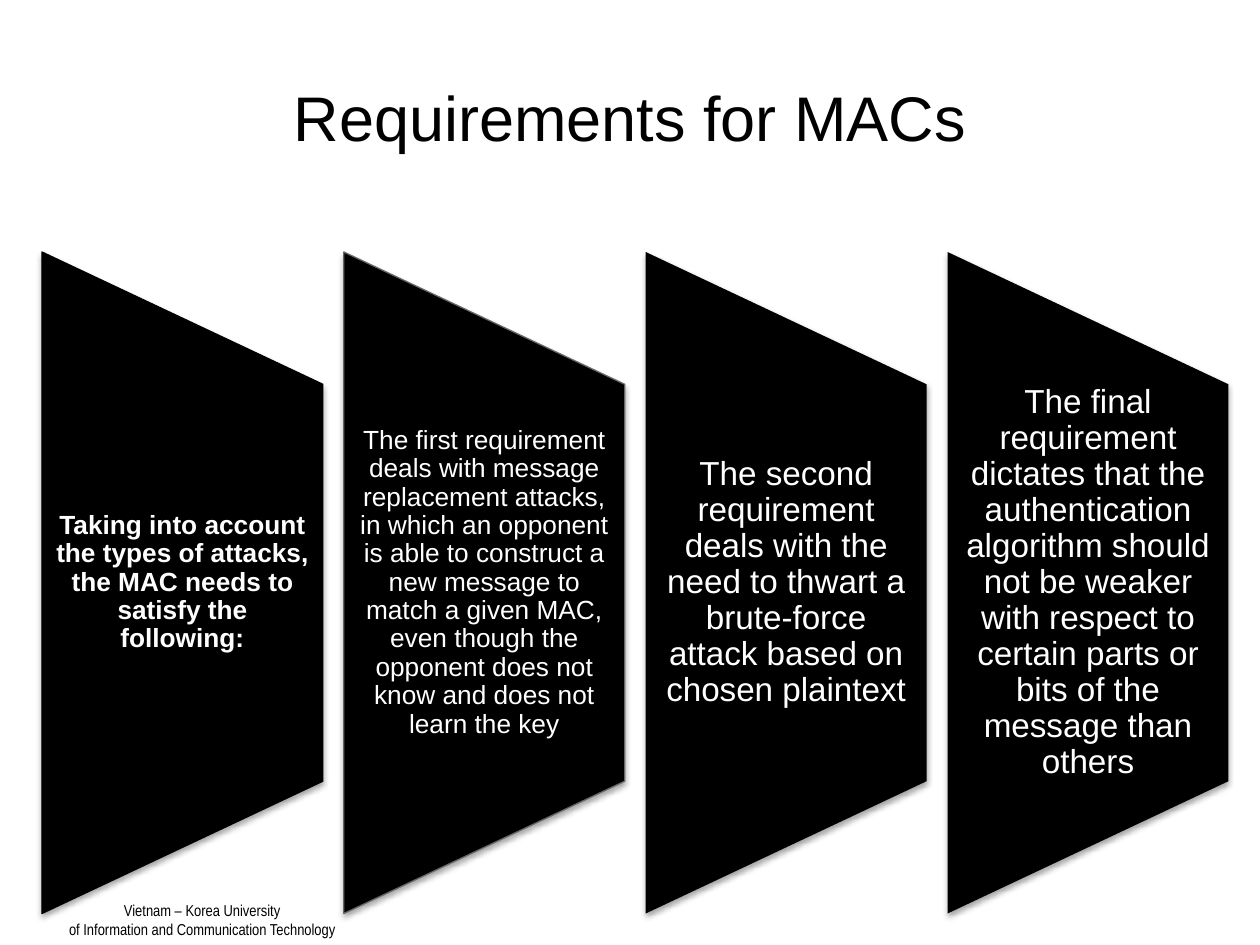
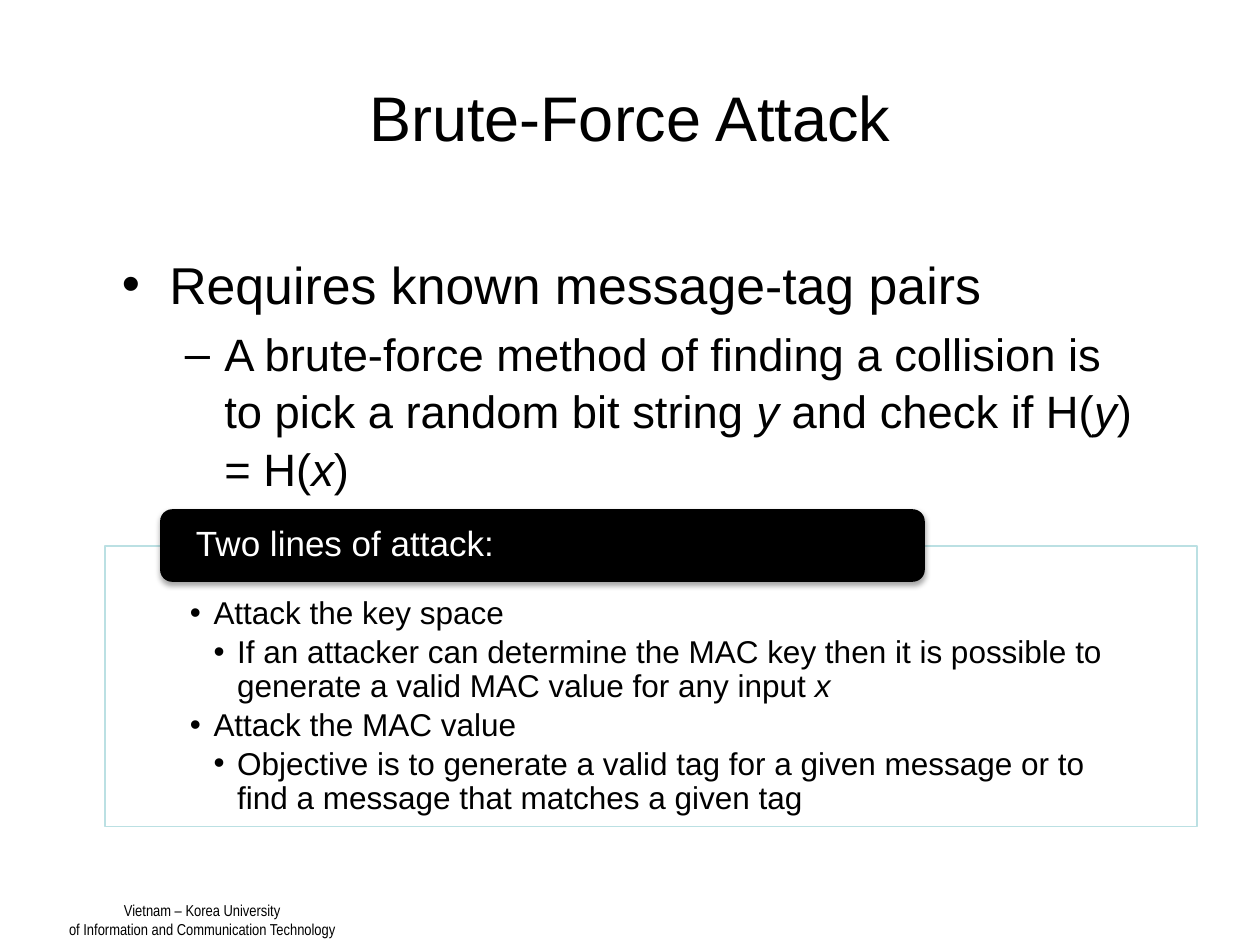
from lxml.etree import SubElement
from pptx import Presentation
from pptx.dml.color import RGBColor
from pptx.enum.shapes import MSO_SHAPE as Shape
from pptx.enum.text import MSO_ANCHOR as Anchor, MSO_AUTO_SIZE as Fit, PP_ALIGN as Align
from pptx.oxml.ns import qn
from pptx.util import Pt

BLACK = RGBColor(0, 0, 0)
WHITE = RGBColor(255, 255, 255)
GRAY = RGBColor(0x66, 0x66, 0x66)
TEAL = RGBColor(0xBB, 0xE0, 0xE3)

FOOTER = "Vietnam – Korea University\nof Information and Communication Technology"

# text, bold, size, side inset, edge colour
PANELS = [
    ("Taking into account the types of attacks, the MAC needs to satisfy the following:",
     True, 15, 7.5, BLACK),
    ("The first requirement deals with message replacement attacks, in which an opponent "
     "is able to construct a new message to match a given MAC, even though the opponent "
     "does not know and does not learn the key", False, 15, 7.5, GRAY),
    ("The second requirement deals with the need to thwart a brute-force attack based on "
     "chosen plaintext", False, 19, 9.5, None),
    ("The final requirement dictates that the authentication algorithm should not be "
     "weaker with respect to certain parts or bits of the message than others",
     False, 19, 9.5, None),
]

# level, text; stars mark italics
METHOD = [
    (0, "Requires known message-tag pairs"),
    (1, "A brute-force method of finding a collision is to pick a random bit string "
        "*y* and check if H(*y*) = H(*x*)"),
]
ATTACKS = [
    (0, "Attack the key space"),
    (1, "If an attacker can determine the MAC key then it is possible to generate a valid "
        "MAC value for any input *x*"),
    (0, "Attack the MAC value"),
    (1, "Objective is to generate a valid tag for a given message or to find a message "
        "that matches a given tag"),
]


def place(shape, box):
    shape.left, shape.top, shape.width, shape.height = map(Pt, box)


def inset(frame, left, top, right, bottom):
    frame.margin_left, frame.margin_top = Pt(left), Pt(top)
    frame.margin_right, frame.margin_bottom = Pt(right), Pt(bottom)


def shade(shape):
    """Give the shape a soft shadow straight below it."""
    effects = shape._element.spPr.find(qn("a:effectLst"))
    outer = SubElement(effects, qn("a:outerShdw"), blurRad=str(Pt(3.1)),
                       dist=str(Pt(1.8)), dir="5400000", rotWithShape="0")
    color = SubElement(outer, qn("a:srgbClr"), val=str(BLACK))
    SubElement(color, qn("a:alpha"), val="35000")


def bullet(para, mark, left, hang):
    props = para._p.get_or_add_pPr()
    props.set("marL", str(Pt(left)))
    props.set("indent", str(Pt(-hang)))
    SubElement(props, qn("a:buFont"), typeface="Arial")
    SubElement(props, qn("a:buChar"), char=mark)


class Deck:
    def __init__(self):
        self.show = Presentation()
        self.show.slide_width, self.show.slide_height = Pt(720), Pt(540)
        self.slide = None

    def style(self, para, size, color=BLACK, bold=False, font="Arial"):
        for run in para.runs:
            run.font.name, run.font.size = font, Pt(size)
            run.font.color.rgb, run.font.bold = color, bold

    def start(self, title, layout):
        """Open a slide with its title and footer."""
        self.slide = self.show.slides.add_slide(self.show.slide_layouts[layout])
        head = self.slide.shapes.title
        place(head, (36, 21.6, 648, 90))
        frame = head.text_frame
        frame.text = title
        frame.vertical_anchor, frame.auto_size = Anchor.MIDDLE, Fit.NONE
        frame.paragraphs[0].alignment = Align.CENTER
        self.style(frame.paragraphs[0], 36)
        self.text(FOOTER, (31, 511, 169, 29), 9, font="Arial Narrow").word_wrap = False

    def text(self, words, box, size, **look):
        """Add a centred text box and return its frame."""
        frame = self.slide.shapes.add_textbox(*map(Pt, box)).text_frame
        frame.text, frame.word_wrap = words, True
        for para in frame.paragraphs:
            para.alignment = Align.CENTER
            self.style(para, size, **look)
        return frame

    def shape(self, kind, box, fill, edge=None):
        shape = self.slide.shapes.add_shape(kind, *map(Pt, box))
        shape.shadow.inherit = False
        shape.fill.solid()
        shape.fill.fore_color.rgb = fill
        if edge is None:
            shape.line.fill.background()
        else:
            shape.line.color.rgb, shape.line.width = edge, Pt(0.75)
        return shape

    def panel(self, left, words, bold, size, side, edge):
        """Add an upright panel, a shape turned a quarter, with level text on it."""
        mid, wide, tall, drop = 333, 160.5, 378, 227
        shape = self.shape(Shape.FLOWCHART_MANUAL_OPERATION,
                           (left + (wide - tall) / 2, mid - wide / 2, tall, wide),
                           BLACK, edge)
        shape.rotation = 270
        shade(shape)
        frame = self.text(words, (left, mid - drop / 2, wide, drop), size,
                          color=WHITE, bold=bold)
        frame.vertical_anchor = Anchor.MIDDLE
        inset(frame, side, 0, side, 0)
        frame.paragraphs[0].line_spacing = 0.9

    def items(self, frame, rows, sizes, marks, dents, lines, before=0, after=0):
        """Fill a frame with bullets; sizes, marks and dents go by level."""
        for i, (level, words) in enumerate(rows):
            para = frame.add_paragraph() if i else frame.paragraphs[0]
            para.level, para.alignment = level, Align.LEFT
            para.line_spacing = lines
            para.space_before, para.space_after = Pt(before if i else 0), Pt(after)
            for j, part in enumerate(words.split("*")):
                if part:
                    run = para.add_run()
                    run.text, run.font.italic = part, j % 2 == 1
            bullet(para, marks[level], *dents[level])
            self.style(para, sizes[level])

    def body(self, box, rows):
        holder = self.slide.placeholders[1]
        place(holder, box)
        frame = holder.text_frame
        frame.auto_size = Fit.NONE
        self.items(frame, rows, (29.6, 25.9), "•–", ((27, 27), (58.5, 22.5)),
                   1.05, before=5.2)

    def card(self, box, rows):
        frame = self.shape(Shape.RECTANGLE, box, WHITE, TEAL).text_frame
        frame.word_wrap, frame.vertical_anchor = True, Anchor.TOP
        inset(frame, 48.5, 29.5, 48.5, 10)
        self.items(frame, rows, (18, 18), "••", ((13.5, 13.5), (27, 13.5)),
                   0.9, after=2.7)

    def label(self, box, words):
        shape = self.shape(Shape.ROUNDED_RECTANGLE, box, BLACK)
        shade(shape)
        frame = shape.text_frame
        frame.text, frame.word_wrap = words, True
        frame.vertical_anchor = Anchor.MIDDLE
        inset(frame, 18.5, 0, 18.5, 0)
        para = frame.paragraphs[0]
        para.alignment, para.line_spacing = Align.LEFT, 0.9
        self.style(para, 20, WHITE)


def main():
    deck = Deck()

    deck.start("Requirements for MACs", 5)
    for i, panel in enumerate(PANELS):
        deck.panel(24 + 172.5 * i, *panel)

    deck.start("Brute-Force Attack", 1)
    deck.body((62.5, 139, 596, 131), METHOD)
    deck.card((60, 312, 624, 160.5), ATTACKS)
    deck.label((91.5, 291, 437, 41.5), "Two lines of attack:")

    deck.show.save("out.pptx")


if __name__ == "__main__":
    main()
